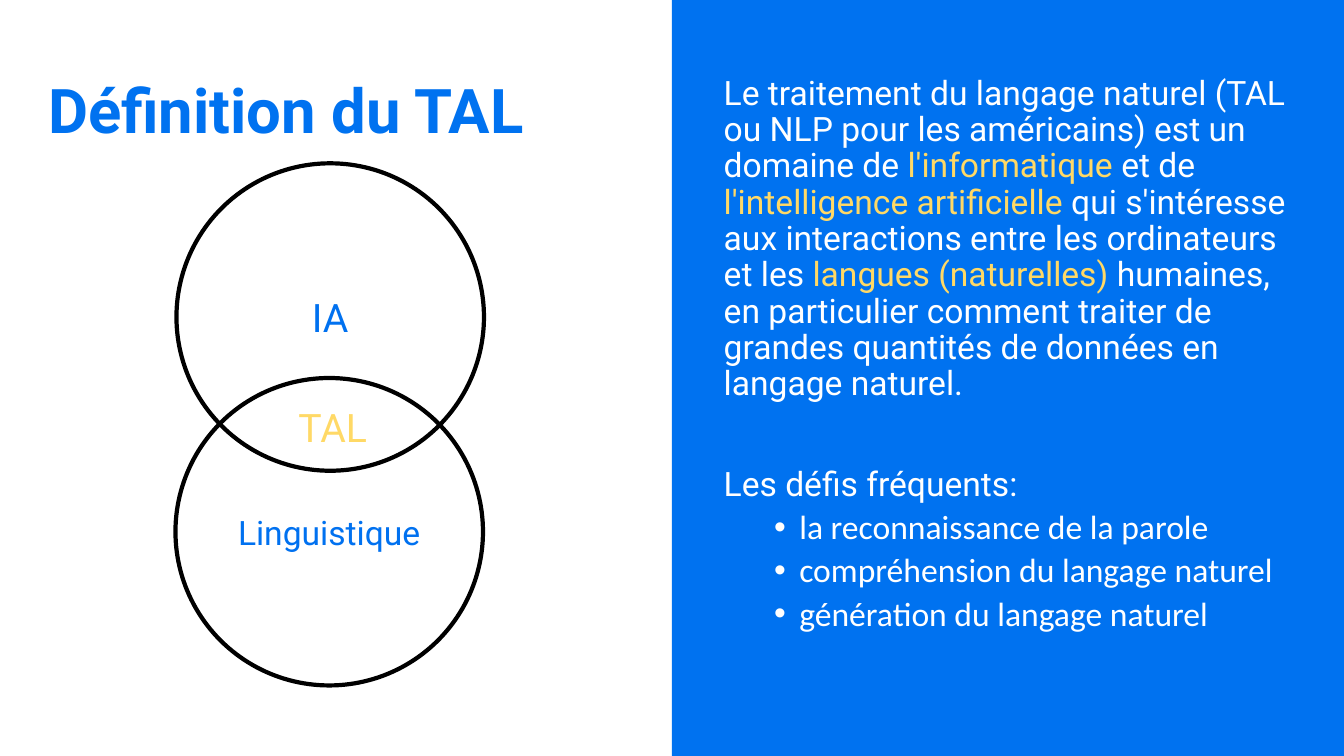
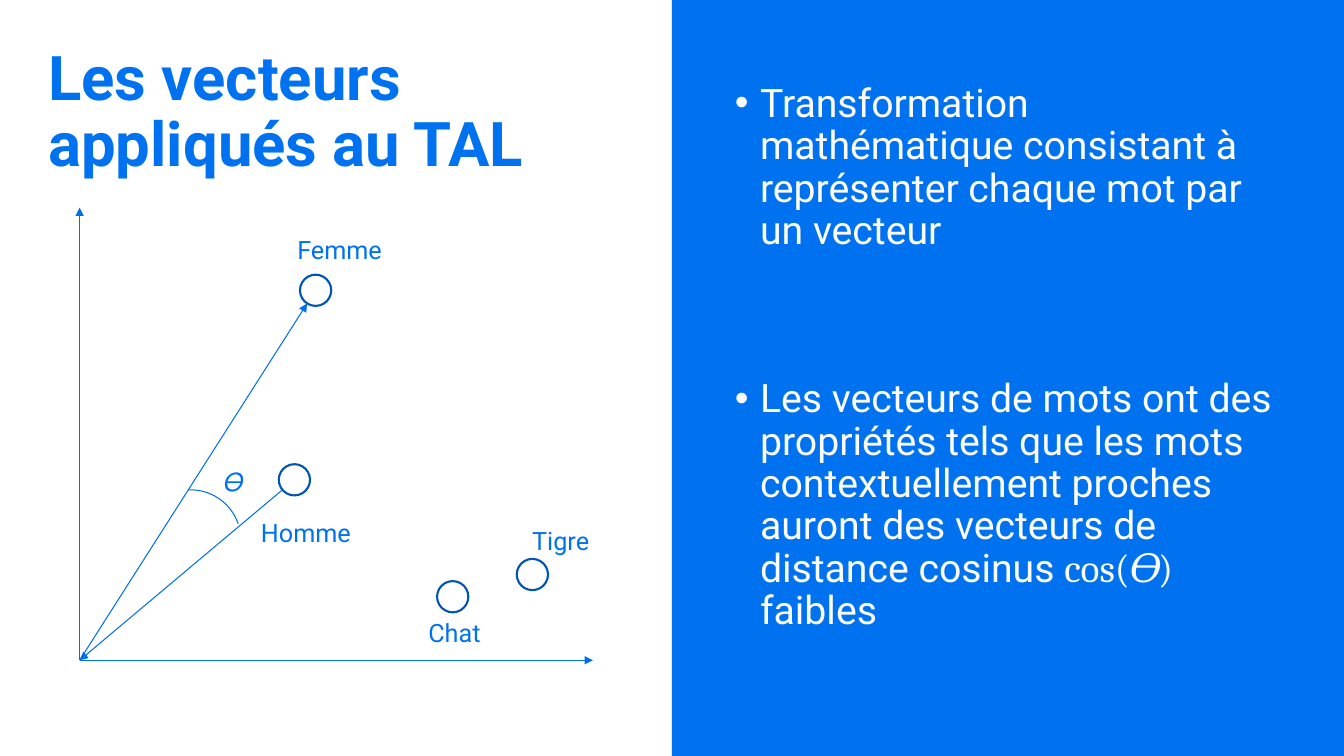
from dataclasses import dataclass
from math import hypot

from lxml.etree import SubElement
from pptx import Presentation
from pptx.dml.color import RGBColor
from pptx.enum.shapes import MSO_CONNECTOR as Link, MSO_SHAPE as Preset
from pptx.enum.text import MSO_ANCHOR as Anchor, PP_ALIGN as Align
from pptx.oxml.ns import qn
from pptx.util import Inches, Pt


@dataclass(frozen=True)
class Theme:
    band: str = "0072F0"
    label: str = "0071F0"
    axis: str = "006FEB"
    ring: str = "0054B2"
    accent: str = "FFD966"
    white: str = "FFFFFF"
    soft_white: str = "FCFCFC"
    black: str = "000000"
    sans: str = "Roboto"
    list_font: str = "Calibri"
    math_font: str = "Cambria"
    title_size: int = 44
    large: int = 28
    medium: int = 24
    small: int = 18
    tight: float = 0.9


THEME = Theme()
WIDTH, HEIGHT = 13.33, 7.5
TITLE_AREA = (0.38, 0.4, 5.88, 1.45)

ACCENT = {"color": THEME.accent}
MATH = {"font": THEME.math_font}
DEFINITION = [
    ("Le traitement du langage naturel (TAL ou NLP pour les américains) est un domaine de ", {}),
    ("l'informatique", ACCENT),
    (" et de ", {}),
    ("l'intelligence artificielle ", ACCENT),
    ("qui s'intéresse aux interactions entre les ordinateurs et les ", {}),
    ("langues (naturelles) ", ACCENT),
    ("humaines, en particulier comment traiter de grandes quantités de données en langage naturel.", {}),
]
CHALLENGES = [
    "la reconnaissance de la parole",
    "compréhension du langage naturel",
    "génération du langage naturel",
]
DEFINITION_SLIDE = {
    "title": "Définition du TAL",
    "area": (7.08, 0.4, 6.03, 6.24),
    "format": {"size": THEME.medium, "color": THEME.white},
    "body": [
        (DEFINITION, {}),
        ([("Les défis fréquents:", {})], {"before": 46}),
        *[([(text, {"font": THEME.list_font})], {"before": 5, "bullet": 0.75})
          for text in CHALLENGES],
    ],
}
VECTOR_SLIDE = {
    "title": "Les vecteurs appliqués au TAL",
    "area": (7.19, 0.4, 5.62, 6.31),
    "format": {"size": THEME.large, "color": THEME.soft_white},
    "body": [
        ([("Transformation mathématique consistant à représenter chaque mot par un vecteur", {})],
         {"bullet": 0.25}),
        ([("Les vecteurs de mots ont des propriétés tels que les mots contextuellement "
           "proches auront des vecteurs de distance cosinus ", {}),
          ("cos(", MATH),
          ("𝛳", {**MATH, "tracking": 3}),
          (") ", MATH),
          ("faibles", {})], {"bullet": 0.25, "before": 90}),
    ],
}

VENN_DIAMETER = 3.05
VENN = [
    ("IA", 1.75, 1.62, THEME.large),
    ("Linguistique", 1.74, 3.75, THEME.medium),
]
OVERLAP = ("TAL", (2.67, 4, 1.26, 0.55))

ORIGIN = (0.79, 6.55)
AXIS_ENDS = [(5.88, 6.55), (0.79, 2.06)]
DOT = 0.31
WORDS = {
    "Homme": ((2.92, 4.76), (2.49, 5.08, 1.18, 0.4)),
    "Chat": ((4.49, 5.92), (4.15, 6.08, 0.78, 0.4)),
    "Tigre": ((5.28, 5.7), (5.18, 5.16, 0.82, 0.4)),
    "Femme": ((3.13, 2.88), (2.85, 2.28, 1.12, 0.4)),
}
ANGLE = ("𝛳", (2.12, 4.58, 0.63, 0.4))
ARC_AREA = (1.39, 4.86, 1, 1)
ARC_DEGREES = (267.3, 341.1)


def rgb(color):
    return RGBColor.from_string(color)


def add_bullet(para, indent, color):
    props = para._p.get_or_add_pPr()
    props.set("marL", str(Inches(indent)))
    props.set("indent", str(-Inches(0.25)))
    SubElement(SubElement(props, qn("a:buClr")), qn("a:srgbClr")).set("val", color)
    SubElement(props, qn("a:buFont")).set("typeface", "Arial")
    SubElement(props, qn("a:buChar")).set("char", "•")


def write_para(para, spans, size, color, font=THEME.sans, bold=False,
               align=Align.LEFT, spacing=THEME.tight, before=0, bullet=None):
    if bullet is not None:
        add_bullet(para, bullet, color)
    para.alignment = align
    para.line_spacing = spacing
    para.space_before = Pt(before)
    for text, changes in spans:
        span = para.add_run()
        span.text = text
        span.font.size = Pt(size)
        span.font.bold = bold
        span.font.name = changes.get("font", font)
        span.font.color.rgb = rgb(changes.get("color", color))
        if "tracking" in changes:
            span._r.get_or_add_rPr().set("spc", str(changes["tracking"] * 100))


def write_frame(frame, paras, anchor=Anchor.TOP, **style):
    frame.word_wrap = True
    frame.vertical_anchor = anchor
    for index, (spans, changes) in enumerate(paras):
        para = frame.paragraphs[0] if index == 0 else frame.add_paragraph()
        write_para(para, spans, **{**style, **changes})


def add_text(page, area, paras, **style):
    box = page.shapes.add_textbox(*map(Inches, area))
    write_frame(box.text_frame, paras, **style)


def plain(text):
    return [([(text, {})], {})]


def add_figure(page, preset, area, fill=None, line=None, weight=0.75):
    figure = page.shapes.add_shape(preset, *map(Inches, area))
    figure.shadow.inherit = False
    if fill:
        figure.fill.solid()
        figure.fill.fore_color.rgb = rgb(fill)
    else:
        figure.fill.background()
    if line:
        figure.line.color.rgb = rgb(line)
        figure.line.width = Pt(weight)
    else:
        figure.line.fill.background()
    return figure


def add_arrow(page, start, end):
    arrow = page.shapes.add_connector(Link.STRAIGHT, *map(Inches, (*start, *end)))
    arrow.line.color.rgb = rgb(THEME.axis)
    arrow.line.width = Pt(0.75)
    SubElement(arrow.line._get_or_add_ln(), qn("a:tailEnd")).set("type", "triangle")
    SubElement(arrow._element.spPr, qn("a:effectLst"))


def dot_edge(center):
    run, rise = (c - o for c, o in zip(center, ORIGIN))
    share = 1 - DOT / 2 / hypot(run, rise)
    return ORIGIN[0] + run * share, ORIGIN[1] + rise * share


def add_page(deck, title, area, format, body):
    page = deck.slides.add_slide(deck.slide_layouts[6])
    add_figure(page, Preset.RECTANGLE, (WIDTH / 2, 0, WIDTH / 2, HEIGHT), fill=THEME.band)
    add_text(page, TITLE_AREA, plain(title), anchor=Anchor.MIDDLE,
             size=THEME.title_size, color=THEME.band, bold=True)
    add_text(page, area, body, anchor=Anchor.MIDDLE, **format)
    return page


def draw_venn(page):
    for text, left, top, size in VENN:
        circle = add_figure(page, Preset.OVAL, (left, top, VENN_DIAMETER, VENN_DIAMETER),
                            line=THEME.black, weight=3)
        write_frame(circle.text_frame, plain(text), anchor=Anchor.MIDDLE, size=size,
                    color=THEME.label, align=Align.CENTER, spacing=1)
    text, area = OVERLAP
    add_text(page, area, plain(text), size=THEME.large, color=THEME.accent,
             align=Align.CENTER)


def draw_vectors(page):
    label = {"size": THEME.small, "color": THEME.label, "spacing": 1}
    for end in AXIS_ENDS:
        add_arrow(page, ORIGIN, end)
    for word, ((x, y), area) in WORDS.items():
        add_figure(page, Preset.OVAL, (x - DOT / 2, y - DOT / 2, DOT, DOT),
                   fill=THEME.white, line=THEME.ring, weight=1.5)
        add_text(page, area, plain(word), **label)
    add_arrow(page, dot_edge(WORDS["Homme"][0]), ORIGIN)
    add_arrow(page, ORIGIN, dot_edge(WORDS["Femme"][0]))
    arc = add_figure(page, Preset.ARC, ARC_AREA, line=THEME.axis)
    for index, degrees in enumerate(ARC_DEGREES):
        arc.adjustments[index] = degrees * 0.6
    text, area = ANGLE
    add_text(page, area, plain(text), font=THEME.list_font, **label)


def main():
    deck = Presentation()
    deck.slide_width, deck.slide_height = Inches(WIDTH), Inches(HEIGHT)
    draw_venn(add_page(deck, **DEFINITION_SLIDE))
    draw_vectors(add_page(deck, **VECTOR_SLIDE))
    deck.save("out.pptx")


if __name__ == "__main__":
    main()
